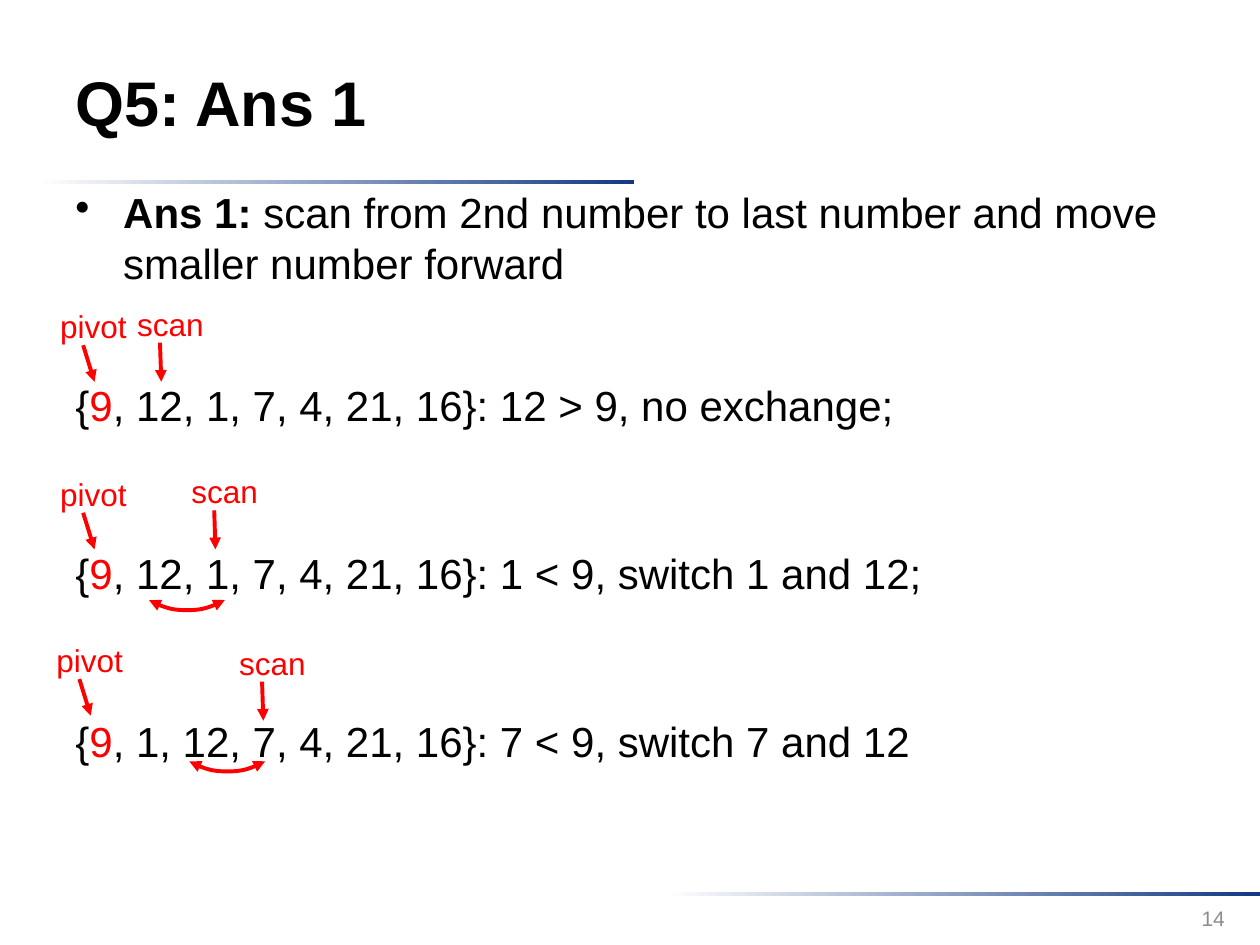
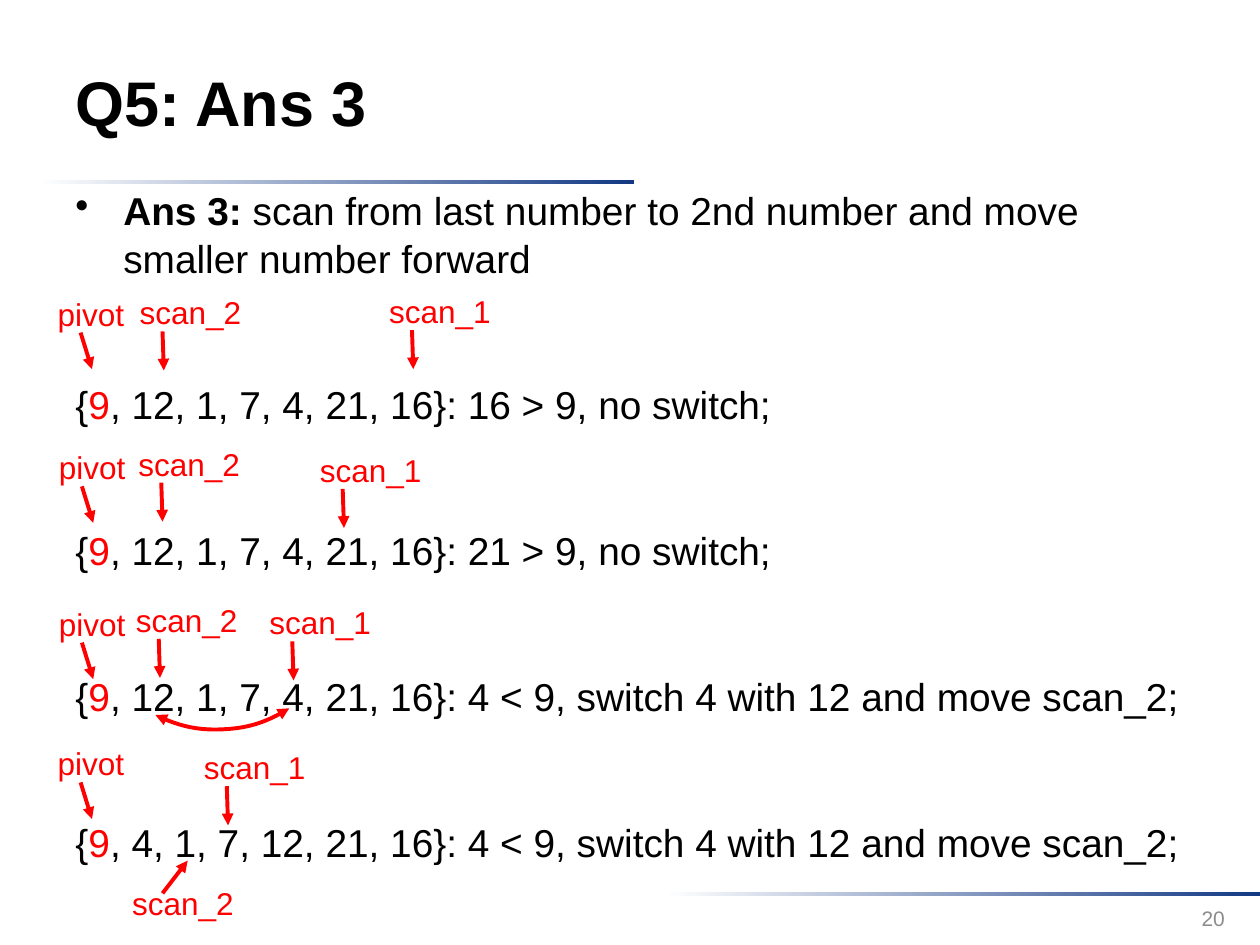
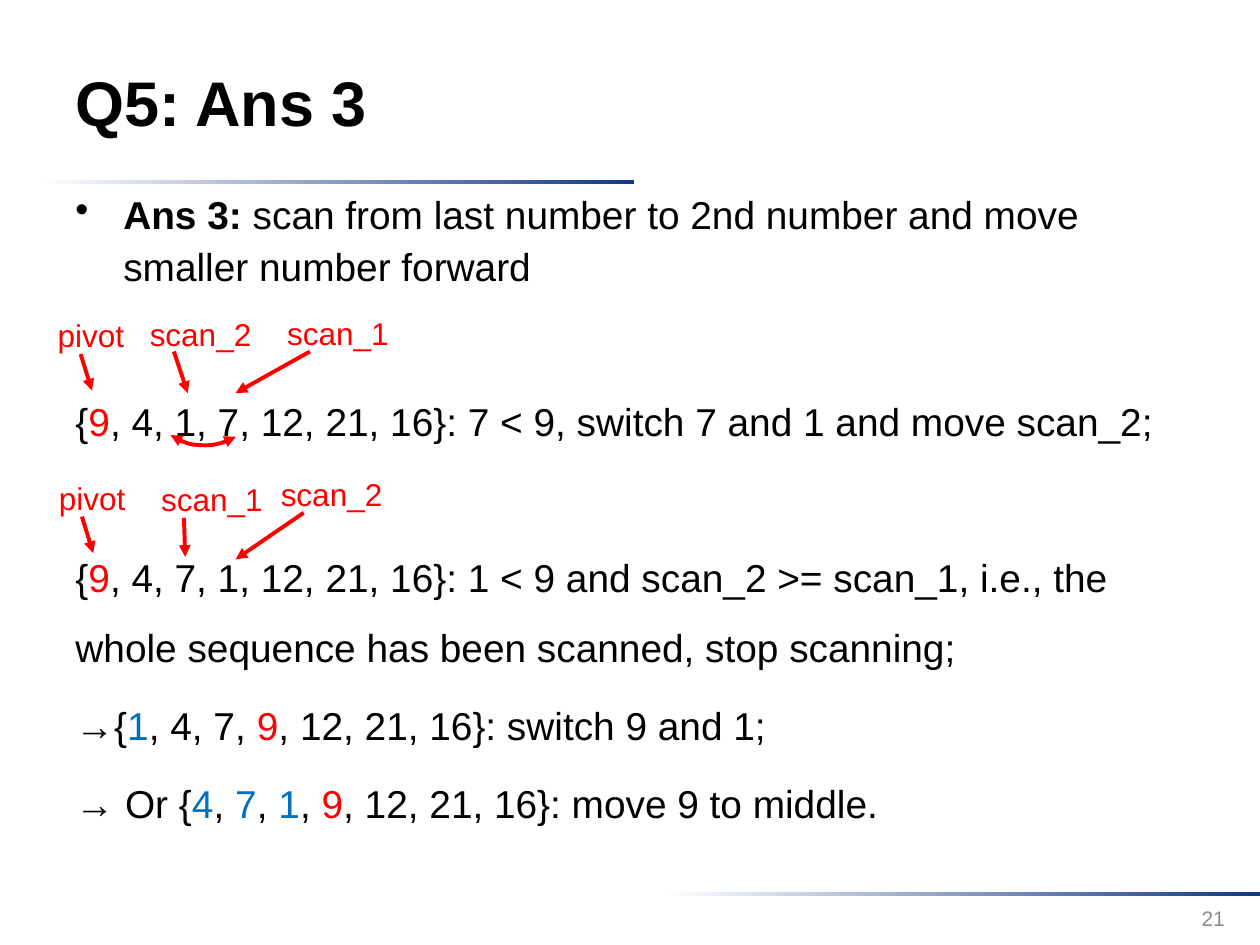
from lxml import etree
from pptx import Presentation
from pptx.dml.color import RGBColor
from pptx.enum.shapes import MSO_CONNECTOR, MSO_SHAPE
from pptx.enum.text import MSO_ANCHOR, PP_ALIGN
from pptx.oxml.ns import qn
from pptx.util import Inches, Pt

FONT = "Arial"
COLORS = {"white": "FFFFFF", "black": "000000", "red": "FF0000",
          "blue": "0070C0", "navy": "133984", "grey": "8C8C8C"}

# Content: a line is (space before in points, runs); a run is (text, colour).
# A marker is (label, left, top) with an optional (arrow start, arrow tip).
# An arc is (left, top, width, height, rotation).


def pivot_line(space, rest):
    return space, [("{", "black"), ("9", "red"), (rest, "black")]


SLIDES = [
    {
        "title": "Q5: Ans 1", "number": "14", "body_size": (9, 5.27),
        "font_size": 24, "lead_spacing": 29.1, "line_spacing": 44,
        "lead": ("Ans 1: ", "scan from 2nd number to last number and move smaller number forward"),
        "lines": [
            pivot_line(37, ", 12, 1, 7, 4, 21, 16}: 12 > 9, no exchange;"),
            pivot_line(52, ", 12, 1, 7, 4, 21, 16}: 1 < 9, switch 1 and 12;"),
            pivot_line(52, ", 1, 12, 7, 4, 21, 16}: 7 < 9, switch 7 and 12"),
        ],
        "markers": [
            ("pivot", 0.38, 2.39), ("scan", 0.99, 2.37),
            ("pivot", 0.38, 3.72), ("scan", 1.42, 3.7),
            ("pivot", 0.35, 5.04), ("scan", 1.8, 5.06),
        ],
        "arcs": [(0.88, 3.64, 1.19, 1.21, 119.4), (1.2, 4.92, 1.19, 1.21, 119.4)],
    },
    {
        "title": "Q5: Ans 3", "number": "20", "body_size": (9.15, 5.66),
        "font_size": 22.2, "lead_spacing": 27, "line_spacing": 37.5,
        "lead": ("Ans 3:", " scan from last number to 2nd number and move smaller number forward"),
        "lines": [
            pivot_line(46, ", 12, 1, 7, 4, 21, 16}: 16 > 9, no switch;"),
            pivot_line(46, ", 12, 1, 7, 4, 21, 16}: 21 > 9, no switch;"),
            pivot_line(46, ", 12, 1, 7, 4, 21, 16}: 4 < 9, switch 4 with 12 and move scan_2;"),
            pivot_line(46, ", 4, 1, 7, 12, 21, 16}: 4 < 9, switch 4 with 12 and move scan_2;"),
        ],
        "markers": [
            ("pivot", 0.36, 2.29), ("scan_2", 1.01, 2.28), ("scan_1", 2.99, 2.27),
            ("pivot", 0.37, 3.51), ("scan_2", 1, 3.48), ("scan_1", 2.44, 3.53),
            ("pivot", 0.37, 4.75), ("scan_2", 0.98, 4.72), ("scan_1", 2.04, 4.74),
            ("pivot", 0.36, 5.86), ("scan_1", 1.52, 5.89),
            ("scan_2", 0.95, 6.97, (1.29, 7.09), (1.49, 6.83)),
        ],
        "arcs": [(0.65, 3.66, 2.1, 2.15, 116.4)],
    },
    {
        "title": "Q5: Ans 3", "number": "21", "body_size": (9.15, 5.66),
        "font_size": 22.2, "lead_spacing": 29.3, "line_spacing": 40,
        "lead": ("Ans 3:", " scan from last number to 2nd number and move smaller number forward"),
        "lines": [
            pivot_line(49, ", 4, 1, 7, 12, 21, 16}: 7 < 9, switch 7 and 1 and move scan_2;"),
            pivot_line(49, ", 4, 7, 1, 12, 21, 16}: 1 < 9 and scan_2 >= scan_1, i.e., the "
                           "whole sequence has been scanned, stop scanning;"),
            (4.4, [("→{", "black"), ("1", "blue"), (", 4, 7, ", "black"), ("9", "red"),
                   (", 12, 21, 16}: switch 9 and 1;", "black")]),
            (4.4, [("→ Or {", "black"), ("4", "blue"), (", ", "black"), ("7", "blue"),
                   (", ", "black"), ("1", "blue"), (", ", "black"), ("9", "red"),
                   (", 12, 21, 16}: move 9 to middle.", "black")]),
        ],
        "markers": [
            ("pivot", 0.36, 2.46),
            ("scan_2", 1.09, 2.45, (1.38, 2.79), (1.49, 3.12)),
            ("scan_1", 2.18, 2.44, (2.46, 2.79), (1.87, 3.12)),
            ("pivot", 0.37, 3.75), ("scan_1", 1.18, 3.76),
            ("scan_2", 2.13, 3.72, (2.41, 4.07), (1.87, 4.44)),
        ],
        "arcs": [(1.12, 2.52, 1.06, 0.99, 124.1)],
    },
]

LABEL_WIDTHS = {"pivot": 0.73, "scan": 0.73, "scan_1": 1.09, "scan_2": 1.09}
ARROW_START = (0.28, 0.35)                      # from the label's corner
PIVOT_TIP, SCAN_TIP = (0.37, 0.64), (0.29, 0.66)


def rgb(name):
    return RGBColor.from_string(COLORS[name])


def style(font, size, color="black", bold=False):
    font.name, font.size, font.bold = FONT, Pt(size), bold
    font.color.rgb = rgb(color)


def add_text_frame(slide, left, top, width, height, anchor=MSO_ANCHOR.TOP, wrap=True):
    box = slide.shapes.add_textbox(Inches(left), Inches(top), Inches(width), Inches(height))
    frame = box.text_frame
    frame.word_wrap, frame.vertical_anchor = wrap, anchor
    return frame


def add_text(slide, text, at, size, color="black", bold=False, align=PP_ALIGN.LEFT,
             anchor=MSO_ANCHOR.MIDDLE, wrap=True):
    paragraph = add_text_frame(slide, *at, anchor, wrap).paragraphs[0]
    paragraph.text, paragraph.alignment = text, align
    style(paragraph.font, size, color, bold)


def add_runs(paragraph, runs, size):
    style(paragraph.font, size)
    for text, color in runs:
        run = paragraph.add_run()
        run.text = text
        style(run.font, size, color)


def style_line(shape, *ends):
    """Red line with triangles at the given ends, head before tail."""
    shape.line.color.rgb, shape.line.width = rgb("red"), Pt(2.25)
    for end in ends:
        etree.SubElement(shape.line._get_or_add_ln(), qn(f"a:{end}"), type="triangle")


# Shared frame: title, gradient rules, page number
def add_frame(slide, title, number):
    for left, top in ((0.31, 1.43), (5.28, 7.08)):
        rule = slide.shapes.add_shape(MSO_SHAPE.RECTANGLE, Inches(left), Inches(top),
                                      Inches(4.72), Inches(0.03))
        rule.shadow.inherit = False
        rule.line.fill.background()
        rule.fill.gradient()
        rule.fill.gradient_angle = 0
        for stop, color in zip(rule.fill.gradient_stops, ("white", "navy")):
            stop.color.rgb = rgb(color)
    add_text(slide, title, (0.5, 0.18, 7.73, 1.25), 36, bold=True)
    add_text(slide, number, (7.49, 7.09, 2.33, 0.4), 12, "grey", align=PP_ALIGN.RIGHT)


def add_body(slide, content):
    frame = add_text_frame(slide, 0.5, 1.43, *content["body_size"])
    size = content["font_size"]
    lead = frame.paragraphs[0]
    lead.line_spacing = Pt(content["lead_spacing"])
    add_runs(lead, [(text, "black") for text in content["lead"]], size)
    lead.runs[0].font.bold = True
    properties = lead._p.get_or_add_pPr()
    properties.set("marL", str(Inches(0.38)))
    properties.set("indent", str(-Inches(0.38)))
    bullet = etree.Element(qn("a:buChar"), char="•")
    properties.find(qn("a:defRPr")).addprevious(bullet)
    for space, runs in content["lines"]:
        paragraph = frame.add_paragraph()
        paragraph.space_before = Pt(space)
        paragraph.line_spacing = Pt(content["line_spacing"])
        add_runs(paragraph, runs, size)


# Red labels with arrows, and exchange arcs
def add_marker(slide, label, left, top, start=None, tip=None):
    add_text(slide, label, (left, top, LABEL_WIDTHS[label], 0.4), 18, "red",
             anchor=MSO_ANCHOR.TOP, wrap=False)
    tip_offset = PIVOT_TIP if label == "pivot" else SCAN_TIP
    start = start or (left + ARROW_START[0], top + ARROW_START[1])
    tip = tip or (left + tip_offset[0], top + tip_offset[1])
    arrow = slide.shapes.add_connector(MSO_CONNECTOR.STRAIGHT, *map(Inches, start + tip))
    style_line(arrow, "tailEnd")
    etree.SubElement(arrow._element.spPr, qn("a:effectLst"))


def add_arc(slide, left, top, width, height, rotation):
    arc = slide.shapes.add_shape(MSO_SHAPE.ARC, Inches(left), Inches(top),
                                 Inches(width), Inches(height))
    arc.adjustments[0], arc.adjustments[1] = 179.83, 0
    arc.rotation = rotation
    arc.shadow.inherit = False
    arc.fill.background()
    style_line(arc, "headEnd", "tailEnd")


def main():
    presentation = Presentation()
    presentation.slide_width, presentation.slide_height = Inches(10), Inches(7.5)
    for content in SLIDES:
        slide = presentation.slides.add_slide(presentation.slide_layouts[6])
        add_frame(slide, content["title"], content["number"])
        add_body(slide, content)
        for marker in content["markers"]:
            add_marker(slide, *marker)
        for arc in content["arcs"]:
            add_arc(slide, *arc)
    presentation.save("out.pptx")


if __name__ == "__main__":
    main()
